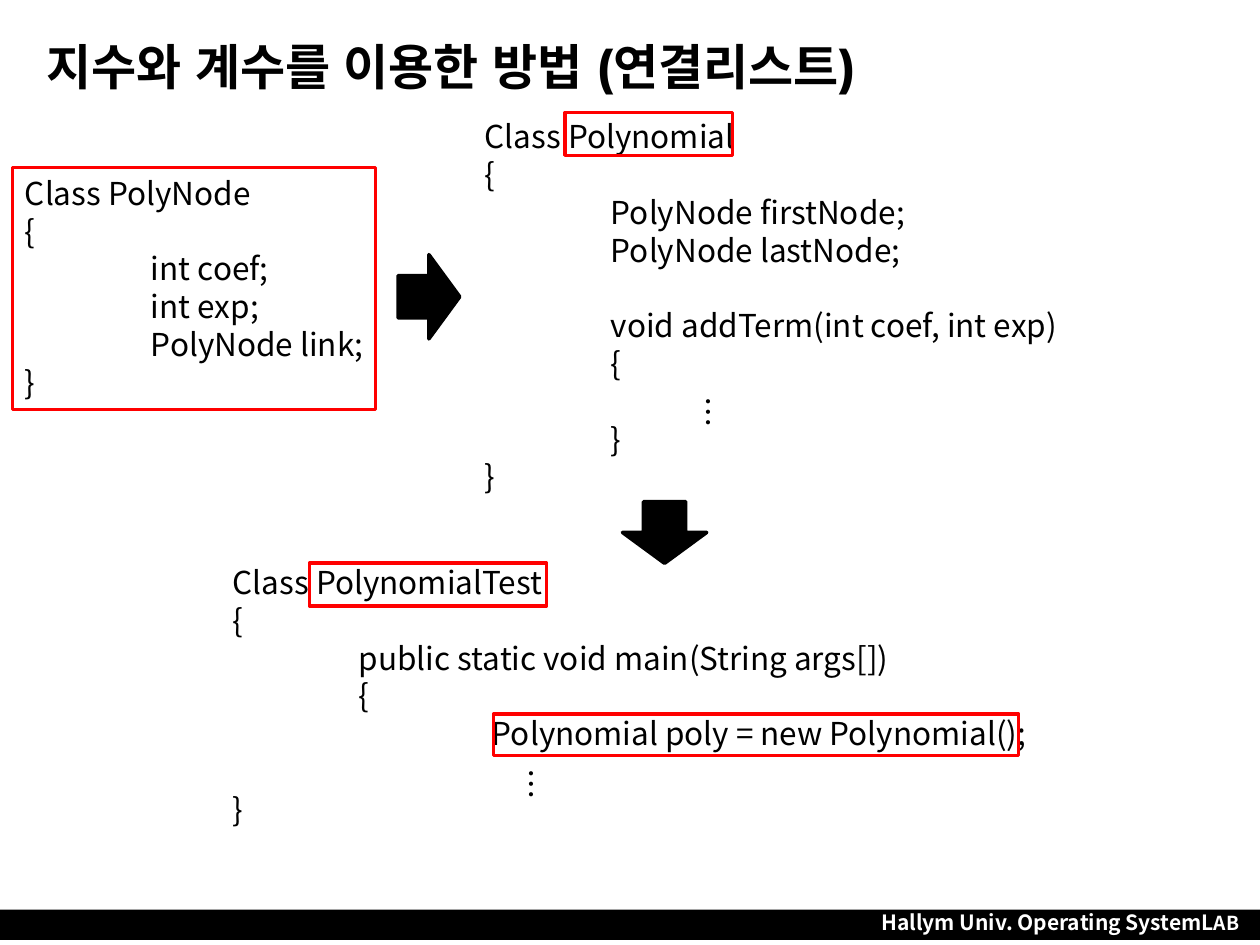
from lxml.etree import SubElement
from pptx import Presentation
from pptx.dml.color import RGBColor
from pptx.enum.shapes import MSO_SHAPE as Shape
from pptx.enum.text import MSO_ANCHOR as Anchor, PP_ALIGN as Align
from pptx.oxml.ns import qn
from pptx.util import Pt

BLACK, WHITE, RED = "000000", "FFFFFF", "FF0000"
CODE_FONT, TITLE_FONT = "Noto Sans CJK KR", "Montserrat"
CODE_SIZE = 18
LEADING = 1.2
TAB_STOPS = (72, 144)

# Content: boxes are left, top, width, height in points
TITLE = "지수와 계수를 이용한 방법 (연결리스트)"
TITLE_BOX = (19.4, 9.4, 680.4, 56.9)
FOOTER = [("Hallym Univ. Operating", 12), (" ", 11), ("SystemL", 12), ("AB", 11)]
FOOTER_BAR = (0, 519.8, 720, 17.3)
FOOTER_BOX = (495, 516.2, 221.8, 21.6)

# Code listings: box, lines, indexes of lines with an empty line above
LISTINGS = [
    ((7.2, 95.8, 213.1, 138.2),
     ["Class PolyNode", "{", "\tint coef;", "\tint exp;", "\tPolyNode link;", "}"],
     ()),
    ((270, 63.4, 421.2, 225.4),
     ["Class Polynomial", "{", "\tPolyNode firstNode;", "\tPolyNode lastNode;",
      "\tvoid addTerm(int coef, int exp)", "\t{", "\t}", "}"],
     (4, 6)),
    ((126, 318.2, 494.6, 159.8),
     ["Class PolynomialTest", "{", "\tpublic static void main(String args[])",
      "\t{", "\t\t Polynomial poly = new Polynomial();", "}"],
     (5,)),
]
ELLIPSES = [(282.2, 432), (383.8, 219.2)]
ELLIPSIS_SIZE = (36, 30.2)
ARROWS = [(221, 151.9, 270), (355.7, 286.6, 0)]  # left, top, rotation
ARROW_SIZE = (48.2, 35.3)
FRAMES = [
    (322.9, 64.3, 95.8, 24.5),
    (282, 408, 300.2, 23.8),
    (176.9, 321.8, 135.4, 24.5),
    (7.2, 95.8, 207.4, 138.2),
]


def color(value):
    return RGBColor.from_string(value)


def points(box):
    return [Pt(value) for value in box]


def style(font, size, fill=BLACK, name=CODE_FONT, bold=False):
    font.name, font.size, font.bold = name, Pt(size), bold
    font.color.rgb = color(fill)


def add_shape(kind, box, fill=None, line=None):
    shape = page.shapes.add_shape(kind, *points(box))
    shape.shadow.inherit = False
    if fill:
        shape.fill.solid()
        shape.fill.fore_color.rgb = color(fill)
    else:
        shape.fill.background()
    if line:
        shape.line.color.rgb = color(line)
        shape.line.width = Pt(2)
    else:
        shape.line.fill.background()
    return shape


def add_tab_stops(para):
    stops = SubElement(para._p.get_or_add_pPr(), qn("a:tabLst"))
    for position in TAB_STOPS:
        SubElement(stops, qn("a:tab"), pos=str(Pt(position)), algn="l")


def add_code(box, lines, gaps=()):
    frame = page.shapes.add_textbox(*points(box)).text_frame
    frame.word_wrap = True
    frame.text = "\n".join(lines)
    pitch = Pt(CODE_SIZE * LEADING)
    for index, para in enumerate(frame.paragraphs):
        add_tab_stops(para)
        para.line_spacing = pitch
        if index in gaps:
            para.space_before = pitch
        for span in para.runs:
            style(span.font, CODE_SIZE)
    return frame


deck = Presentation()
deck.slide_width, deck.slide_height = Pt(720), Pt(540)
page = deck.slides.add_slide(deck.slide_layouts[5])

# Footer
add_shape(Shape.RECTANGLE, FOOTER_BAR, fill=BLACK)
footer = page.shapes.add_textbox(*points(FOOTER_BOX)).text_frame
footer.word_wrap = False
para = footer.paragraphs[0]
para.alignment = Align.CENTER
para.line_spacing = Pt(12 * LEADING)
for text, size in FOOTER:
    span = para.add_run()
    span.text = text
    style(span.font, size, WHITE, bold=True)

# Title, with the same font for its Korean letters
title = page.shapes.title
title.left, title.top, title.width, title.height = points(TITLE_BOX)
title.text_frame.text = TITLE
title.text_frame.vertical_anchor = Anchor.MIDDLE
heading = title.text_frame.paragraphs[0]
heading.alignment = Align.LEFT
span = heading.runs[0]
style(span.font, 28, name=TITLE_FONT, bold=True)
SubElement(span._r.get_or_add_rPr(), qn("a:ea"), typeface=TITLE_FONT)

# Code listings and the vertical ellipses inside them
for box, lines, gaps in LISTINGS:
    add_code(box, lines, gaps)
for position in ELLIPSES:
    frame = add_code(position + ELLIPSIS_SIZE, ["…"])
    frame._txBody.bodyPr.set("vert", "eaVert")

# Arrows between the classes
for left, top, rotation in ARROWS:
    arrow = add_shape(Shape.DOWN_ARROW, (left, top, *ARROW_SIZE), BLACK, BLACK)
    arrow.rotation = rotation

# Red frames
for box in FRAMES:
    add_shape(Shape.RECTANGLE, box, line=RED)

deck.save("out.pptx")
